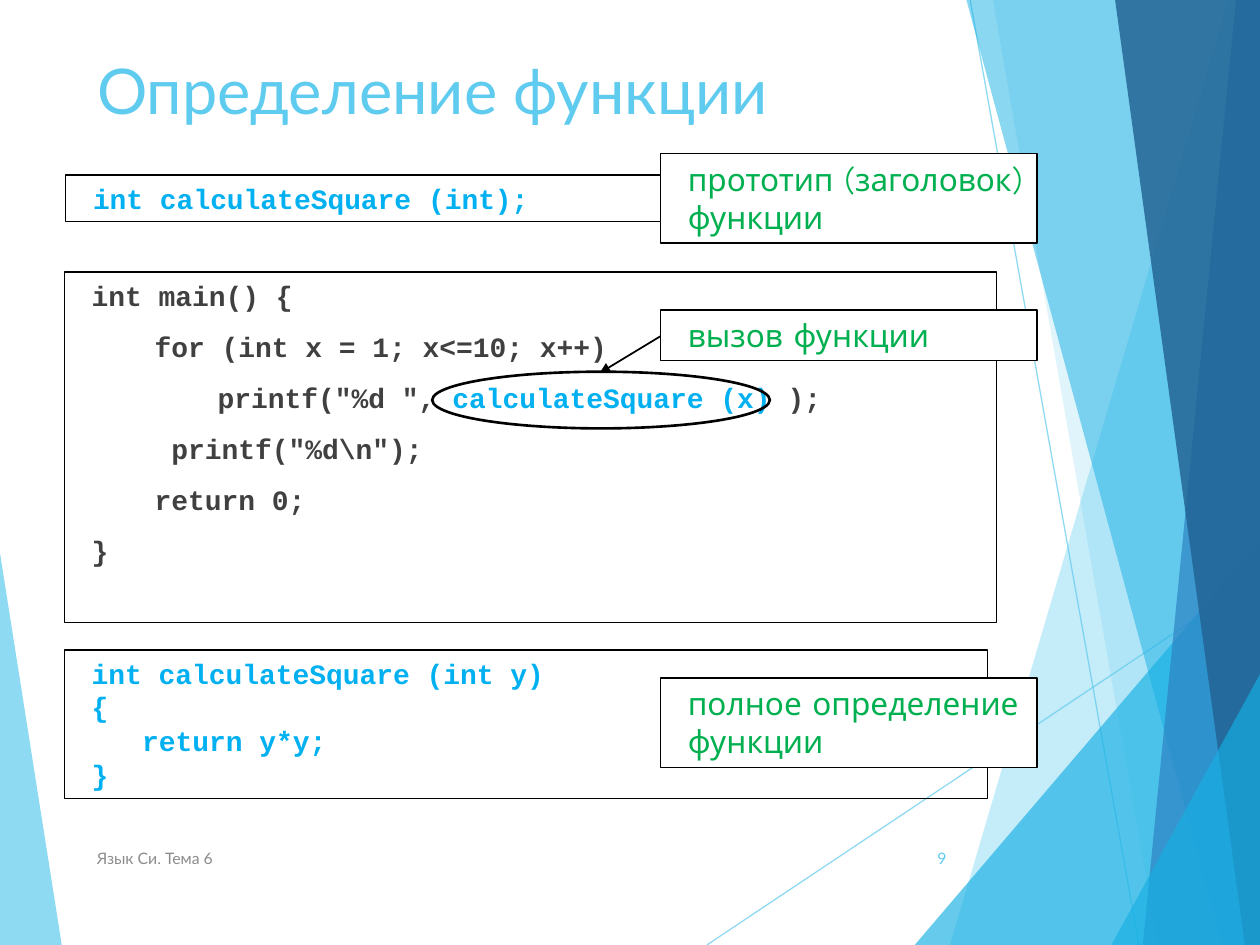
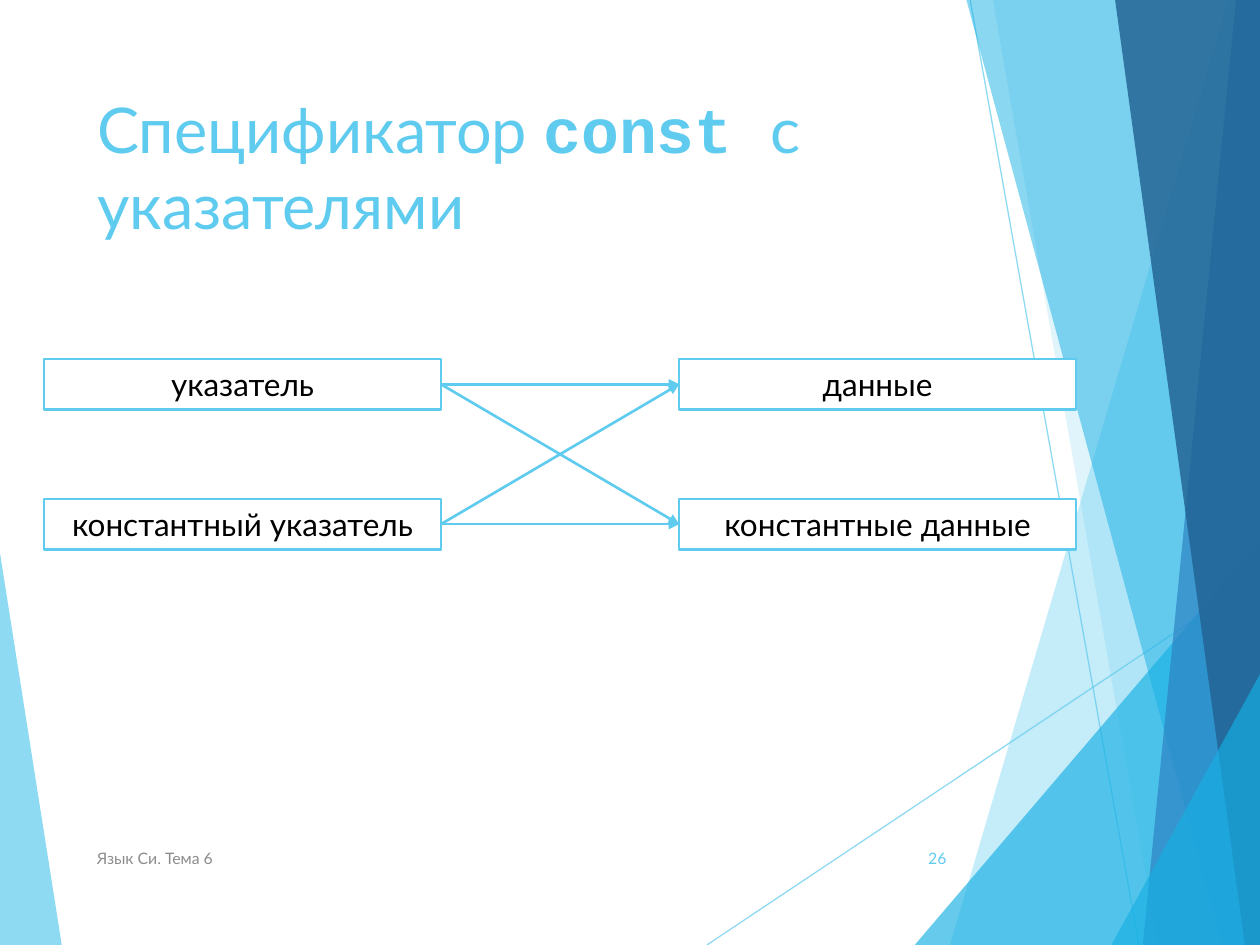
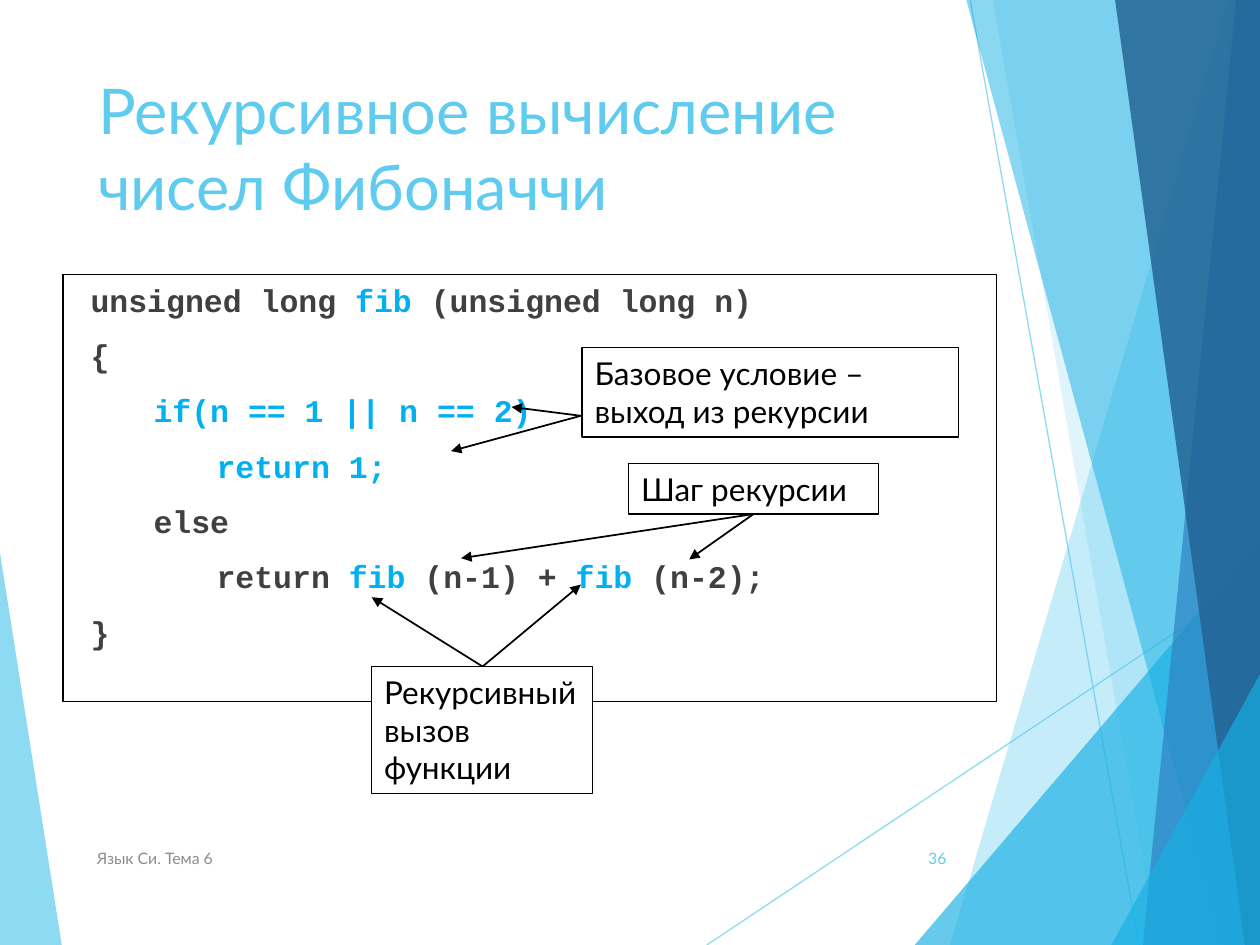
from itertools import product

from lxml.etree import SubElement
from pptx import Presentation
from pptx.dml.color import RGBColor
from pptx.enum.shapes import MSO_CONNECTOR as CONN, MSO_SHAPE as SHAPE
from pptx.enum.text import MSO_ANCHOR as ANCHOR, MSO_AUTO_SIZE as AUTO, PP_ALIGN as ALIGN
from pptx.oxml.ns import qn
from pptx.util import Inches, Pt

# Colours
SKY = RGBColor(0x5F, 0xCB, 0xEF)
CYAN = RGBColor(0x17, 0xB0, 0xE4)
BLUE = RGBColor(0x2E, 0x83, 0xC3)
NAVY = RGBColor(0x22, 0x62, 0x92)
BLACK = RGBColor(0, 0, 0)
WHITE = RGBColor(255, 255, 255)
GREY = RGBColor(0x8C, 0x8C, 0x8C)
DARK = RGBColor(0x40, 0x40, 0x40)
ACCENT = RGBColor(0, 0xB0, 0xF0)
GREEN = RGBColor(0, 0xB0, 0x50)

# Text formats
TITLE = dict(name="Lato", size=Pt(36), color=SKY, bold=False)
TITLE_CODE = dict(TITLE, name="Courier New", bold=True)
CODE = dict(name="Courier New", size=Pt(16), color=DARK, bold=True)
LABEL = dict(name="Lato", size=Pt(18), color=BLACK)
NOTE = dict(LABEL, name="Comic Neue", color=GREEN)
FOOTER = dict(name="Lato", size=Pt(9), color=GREY)
PAGE = dict(FOOTER, color=SKY)

# The grid has 100 columns and 75 rows
COLS, ROWS = 100, 75
INDENT, TAB = 1.2, 5  # in columns

# Facets of the background: colour, opacity, outline
FACETS = [
    (SKY, 70, [(0, 43.9), (4.9, 75), (0, 75)]),
    (SKY, 36, [(97.5, 0), (75.4, 75), (100, 75), (100, 0)]),
    (SKY, 20, [(78.8, 0), (91.9, 75), (100, 75), (100, 0)]),
    (CYAN, 66, [(72.6, 75), (100, 42.9), (100, 75)]),
    (CYAN, 50, [(76.7, 0), (97, 75), (100, 75), (100, 0)]),
    (BLUE, 70, [(98.1, 0), (90.7, 75), (100, 75), (100, 0)]),
    (NAVY, 82, [(88.5, 0), (98.8, 75), (100, 75), (100, 0)]),
    (CYAN, 66, [(88.2, 75), (100, 53.5), (100, 75)]),
]
RAYS = [((56.1, 75), (100, 45.7)), ((77, 0), (90.4, 75))]


def set_opacity(shape, percent):
    for color in shape.element.spPr.iter(qn("a:srgbClr")):
        SubElement(color, qn("a:alpha"), val=str(percent * 1000))


class Deck:
    def __init__(self):
        self.prs = Presentation()
        self.prs.slide_width, self.prs.slide_height = Inches(10), Inches(7.5)
        self.s = None

    def x(self, cols):
        return round(self.prs.slide_width * cols / COLS)

    def y(self, rows):
        return round(self.prs.slide_height * rows / ROWS)

    def grid(self, x, y, *size):
        """Turn a point, or a point and a size, into lengths."""
        spot = self.x(x), self.y(y)
        return spot + self.grid(*size) if size else spot

    def slide(self, title, page, left=6.7, top=6.7):
        first = self.s is None
        self.s = self.prs.slides.add_slide(self.prs.slide_layouts[5])
        if first:
            self.backdrop()
        sp = self.s.shapes.title
        sp.left, sp.top, sp.width, sp.height = self.grid(left, top, 69.4, 14.4)
        self.put_text(sp, [title], TITLE, TITLE_CODE, align=ALIGN.LEFT)
        for spot, text, fmt, align in [
            ((6.7, 66.1, 50.6, 4), "Язык Си. Тема 6", FOOTER, ALIGN.LEFT),
            ((70.5, 66.1, 5.6, 4), str(page), PAGE, ALIGN.RIGHT),
        ]:
            box = self.s.shapes.add_textbox(*self.grid(*spot))
            self.put_text(box, [text], fmt, align=align, anchor=ANCHOR.MIDDLE)

    def backdrop(self):
        """Build the facets and rays once and hand them to the master."""
        group = self.s.shapes.add_group_shape()
        for start, end in RAYS:
            set_opacity(self.line(start, end, SKY, 0.75, group.shapes), 70)
        for color, opacity, points in FACETS:
            start, *rest = [self.grid(*p) for p in points]
            fb = group.shapes.build_freeform(*start)
            fb.add_line_segments(rest, close=True)
            sp = fb.convert_to_shape()
            self.paint(sp, color, None)
            set_opacity(sp, opacity)
        for number, item in enumerate(group.element.iter(qn("p:cNvPr")), 20):
            item.set("id", str(number))
        self.prs.slide_master.shapes.element.insert(2, group.element)

    def paint(self, sp, fill, line, width=0.75):
        sp.shadow.inherit = False
        for part, color in ((sp.fill, fill), (sp.line.fill, line)):
            if color is None:
                part.background()
            else:
                part.solid()
                part.fore_color.rgb = color
        if line is not None:
            sp.line.width = Pt(width)

    def put_text(self, sp, lines, fmt, marked=None, align=ALIGN.LEFT,
                 anchor=ANCHOR.TOP, indent=None, gap=0, grow=False):
        """Fill a shape; a line is text or (level, text), `...` is marked."""
        tf = sp.text_frame
        frame = dict(word_wrap=True, vertical_anchor=anchor,
                     auto_size=AUTO.SHAPE_TO_FIT_TEXT if grow else AUTO.NONE)
        for key, value in frame.items():
            setattr(tf, key, value)
        for i, line in enumerate(lines):
            level, text = (0, line) if isinstance(line, str) else line
            p = tf.add_paragraph() if i else tf.paragraphs[0]
            p.alignment, p.space_before = align, Pt(gap)
            if indent is not None:
                pPr = p._p.get_or_add_pPr()
                pPr.set("marL", str(self.x(indent + TAB * level)))
                pPr.set("indent", "0")
            for j, piece in enumerate(text.split("`")):
                if piece:
                    r = p.add_run()
                    r.text = piece
                    for key, value in (marked if j % 2 else fmt).items():
                        if key == "color":
                            r.font.color.rgb = value
                        else:
                            setattr(r.font, key, value)

    def box(self, spot, lines, fmt, fill=WHITE, line=BLACK, width=0.75, grow=True, **layout):
        sp = self.s.shapes.add_shape(SHAPE.RECTANGLE, *self.grid(*spot))
        self.paint(sp, fill, line, width)
        self.put_text(sp, lines, fmt, grow=grow, **layout)
        return sp

    def code(self, spot, lines, size=16, **layout):
        fmt = dict(CODE, size=Pt(size))
        return self.box(spot, lines, fmt, fill=None, indent=INDENT,
                        marked=dict(fmt, color=ACCENT), **layout)

    def ring(self, spot):
        sp = self.s.shapes.add_shape(SHAPE.OVAL, *self.grid(*spot))
        self.paint(sp, None, BLACK, 1.5)

    def line(self, start, end, color, width, shapes):
        c = shapes.add_connector(CONN.STRAIGHT, *self.grid(*start), *self.grid(*end))
        c.line.color.rgb, c.line.width = color, Pt(width)
        SubElement(c.element.spPr, qn("a:effectLst"))
        return c

    def arrow(self, start, end, color=BLACK, width=1):
        c = self.line(start, end, color, width, self.s.shapes)
        SubElement(c.element.spPr.find(qn("a:ln")), qn("a:tailEnd"), type="triangle")
        return c


def definition(d):
    d.slide("Определение функции", 9, top=3.6)
    d.code((5.1, 21.6, 74, 27.8), [
        "int main() {",
        (1, "for (int x = 1; x<=10; x++)"),
        (2, 'printf("%d ", `calculateSquare (x)` );'),
        (1, ' printf("%d\\n");'),
        (1, "return 0;"),
        "}",
    ], gap=10, grow=False)
    d.code((5.2, 13.9, 74, 3.7), ["`int calculateSquare (int);`"])
    d.code((5.1, 51.6, 73.3, 11.8), [
        "`int calculateSquare (int y)`", "`{`", (0.8, "`return y*y;`"), "`}`"])
    for top, height, text in [
        (12.2, 7.1, "прототип (заголовок) функции"),
        (24.6, 4, "вызов функции"),
        (53.8, 7.1, "полное определение функции"),
    ]:
        d.box((52.4, top, 29.9, height), [text], NOTE, indent=INDENT)
    d.arrow((52.4, 26.7), (47.6, 29.6))
    d.ring((34.3, 29.5, 26.8, 4.5))


def const_pointers(d):
    d.slide("Спецификатор `const `с указателями", 26)
    width, height, tops = 31.5, 4, (28.5, 39.6)
    left, right = 3.5, 53.9

    def column(x, names):
        return [(top + height / 2,
                 d.box((x, top, width, height), [name], LABEL, line=SKY,
                       width=1.5, align=ALIGN.CENTER))
                for top, name in zip(tops, names)]

    pointers = column(left, ("указатель", "константный указатель"))
    values = column(right, ("данные", "константные данные"))
    for (y1, source), (y2, target) in product(pointers, values):
        c = d.arrow((left + width, y1), (right, y2), SKY, 1.5)
        c.begin_connect(source, 3)
        c.end_connect(target, 1)


def fibonacci(d):
    d.slide("Рекурсивное вычисление чисел Фибоначчи", 36, left=6.8, top=5.2)
    d.code((5, 21.8, 74.1, 33.9), [
        "unsigned long `fib` (unsigned long n)",
        "{",
        (1, "`if(n == 1 || n == 2)`"),
        (2, "`return 1;`"),
        (1, "else"),
        (2, "return `fib `(n-1) + `fib `(n-2);"),
        "}",
    ], size=18, gap=10, grow=False)
    # Notes, each with the arrows that leave it
    for spot, text, fill, start, ends in [
        ((46.2, 27.6, 29.9, 7.1), "Базовое условие – выход из рекурсии", None,
         (46.1, 33), [(40.6, 32.3), (35.8, 35.8)]),
        ((29.5, 52.9, 17.5, 10.1), "Рекурсивный вызов функции", WHITE,
         (38.3, 52.9), [(29.5, 47.4), (46.1, 46.4)]),
        ((49.9, 36.8, 19.8, 4), "Шаг рекурсии", WHITE,
         (59.8, 40.8), [(54.7, 44.4), (36.6, 44.3)]),
    ]:
        d.box(spot, [text], LABEL, fill=fill)
        for end in ends:
            d.arrow(start, end)


def main():
    d = Deck()
    for build in (definition, const_pointers, fibonacci):
        build(d)
    d.prs.save("out.pptx")


if __name__ == "__main__":
    main()
